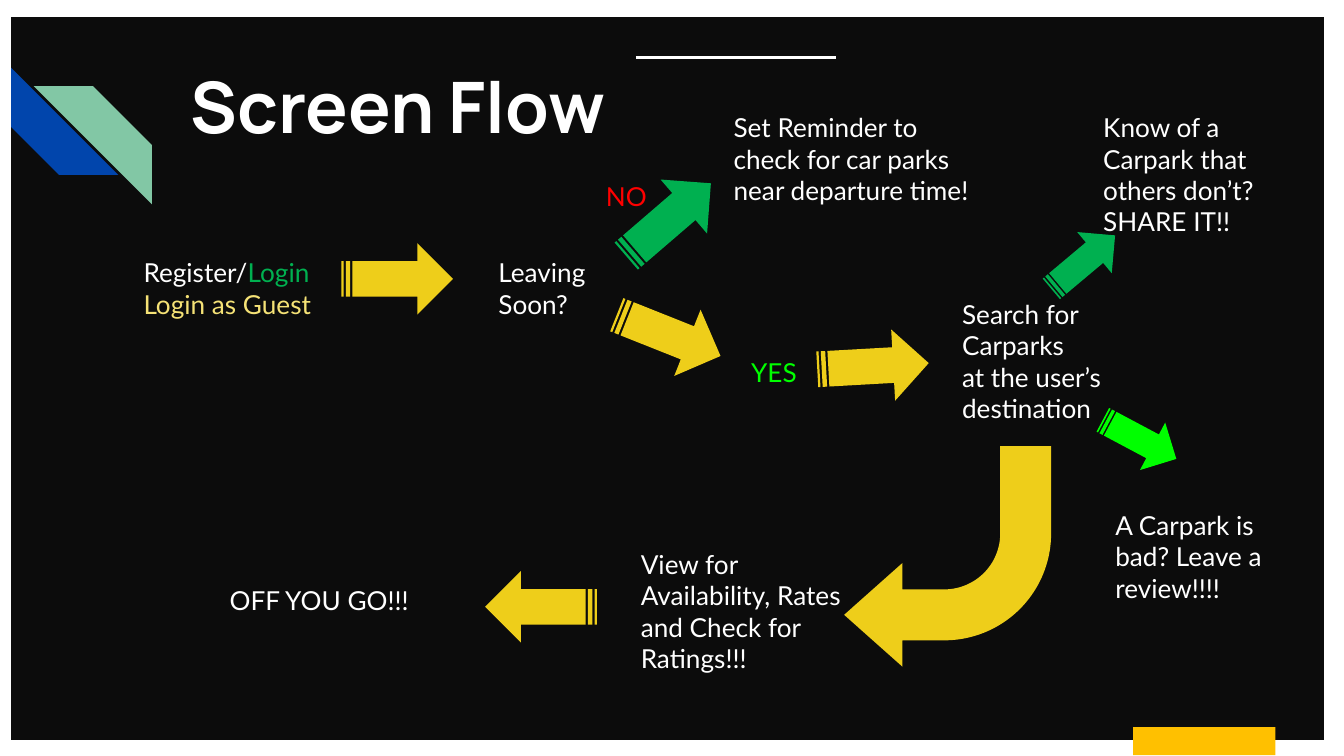
from pptx import Presentation
from pptx.dml.color import RGBColor
from pptx.enum.shapes import MSO_CONNECTOR, MSO_SHAPE
from pptx.enum.text import MSO_ANCHOR, MSO_AUTO_SIZE, PP_ALIGN
from pptx.oxml.ns import qn
from pptx.util import Pt

RECT = MSO_SHAPE.RECTANGLE
STRIPE = MSO_SHAPE.DIAGONAL_STRIPE
ARROW = MSO_SHAPE.STRIPED_RIGHT_ARROW
BENT = MSO_SHAPE.BENT_ARROW
LINE = MSO_CONNECTOR.STRAIGHT
LEFT, MIDDLE, NO_FIT = PP_ALIGN.LEFT, MSO_ANCHOR.MIDDLE, MSO_AUTO_SIZE.NONE

BLACK = RGBColor(0x0C, 0x0C, 0x0C)
WHITE = RGBColor(0xFF, 0xFF, 0xFF)
BLUE = RGBColor(0x01, 0x45, 0xAC)
MINT = RGBColor(0x82, 0xC7, 0xA5)
AMBER = RGBColor(0xFF, 0xC0, 0x00)
GOLD = RGBColor(0xEE, 0xCE, 0x1A)
CREAM = RGBColor(0xF5, 0xE2, 0x76)
GREEN = RGBColor(0x00, 0xB0, 0x50)
LIME = RGBColor(0x00, 0xFF, 0x00)
RED = RGBColor(0xFF, 0x00, 0x00)

BIG, SMALL = (59.8, 38.2), (44.6, 28.8)

# Steps: left, top, width, height, paragraphs of (text, colour) runs
STEPS = [
    (0, 77.7, 138.2, 33.8, [[("Register/", WHITE), ("Login", GREEN)],
                            [("Login as Guest", CREAM)]]),
    (190.1, 77.7, 70.6, 33.8, [[("Leaving", WHITE)], [("Soon?", WHITE)]]),
    (316.1, 0, 150.5, 64.8,
     [[("Set Reminder to check for car parks near departure time!", WHITE)]]),
    (247.7, 36.7, 70.6, 33.8, [[("NO", RED)]]),
    (325.5, 131, 70.6, 33.8, [[("YES", LIME)]]),
    (438.5, 100, 92.9, 77, [[(line, WHITE)] for line in (
        "Search for", "Carparks", "at the user’s", "destination")]),
    (514.1, 0, 114.5, 77, [[("Know of a Carpark that others don’t?", WHITE)],
                           [("SHARE IT!!", WHITE)]]),
    (520.6, 213.1, 114.5, 77,
     [[("A Carpark is bad? Leave a review!!!!", WHITE)]]),
    (266.4, 234, 138.2, 77,
     [[("View for Availability, Rates and Check for Ratings!!!", WHITE)]]),
    (46.1, 253.4, 138.2, 33.8, [[("OFF YOU GO!!!", WHITE)]]),
]

# Arrows: left, top, size, turn in degrees, colour
ARROWS = [
    (113.1, 77.7, BIG, 0, GOLD),
    (258.5, 46, BIG, 319.3, GREEN),
    (258.5, 108, BIG, 21.7, GOLD),
    (368, 124.5, BIG, 356.8, GOLD),
    (488.2, 73.4, SMALL, 320, GREEN),
    (518.4, 168.4, SMALL, 28, LIME),
    (190.1, 253.4, BIG, 180, GOLD),
]


def add_form(slide, kind, box, fill=None, turn=0, adjust=()):
    form = slide.shapes.add_shape(kind, *map(Pt, box))
    form.shadow.inherit = False
    form.line.fill.background()
    if fill is None:
        form.fill.background()
    else:
        form.fill.solid()
        form.fill.fore_color.rgb = fill
    form.rotation = turn
    for i, value in enumerate(adjust):
        form.adjustments[i] = value
    return form


def add_text(slide, box, paras):
    frame = slide.shapes.add_textbox(*map(Pt, box)).text_frame
    frame.word_wrap = True
    frame.margin_left = frame.margin_right = Pt(7.2)
    frame.margin_top = frame.margin_bottom = Pt(7.2)
    for i, runs in enumerate(paras):
        para = frame.add_paragraph() if i else frame.paragraphs[0]
        para.font.name, para.font.size = "Lato", Pt(14)
        for text, color in runs:
            run = para.add_run()
            run.text = text
            run.font.color.rgb = color


def draw_decor(slide, x, y, width, height):
    # Corner stripes
    side = 63.4
    add_form(slide, STRIPE, (x, y + 27.4, side, side), BLUE, 270, [0.5])
    add_form(slide, STRIPE, (x + 18, y + 43.2, side, side), MINT, 90, [0.5])
    # White frame
    frame = add_form(slide, RECT, (x, y, width, height))
    frame.line.color.rgb = WHITE
    frame.line.width = Pt(12.25)
    # Bottom tab
    add_form(slide, RECT, (x + 607, y + 386.6, 76.3, 15.1), AMBER)


def draw_title(slide, x, y, width, height):
    title = slide.shapes.title
    title.left, title.top = Pt(x), Pt(y)
    title.width, title.height = Pt(width), Pt(height)
    frame = title.text_frame
    frame.text = "Screen Flow"
    frame.auto_size, frame.vertical_anchor = NO_FIT, MIDDLE
    frame.margin_left = frame.margin_right = Pt(5)
    frame.margin_top = frame.margin_bottom = Pt(2.9)
    para = frame.paragraphs[0]
    para.alignment = LEFT
    font = para.font
    font.name, font.size, font.bold = "Manrope", Pt(38), True
    font.color.rgb = WHITE
    # Rule above the title
    rule = slide.shapes.add_connector(
        LINE, Pt(x + 243.4), Pt(y), Pt(x + 350.6), Pt(y))
    rule.line.color.rgb = WHITE
    rule.line.width = Pt(1.5)
    props = rule._element.spPr
    props.append(props.makeelement(qn("a:effectLst"), {}))


def draw_flow(slide, x, y):
    for left, top, size, turn, color in ARROWS:
        add_form(slide, ARROW, (x + left, y + top, *size), color, turn,
                 [0.5, 0.5])
    # Turn from search to view
    add_form(slide, BENT, (x + 382.4, y + 186.4, 110.9, 118.1), GOLD, 180,
             [0.246, 0.25, 0.281, 0.516])
    for left, top, width, height, paras in STEPS:
        add_text(slide, (x + left, y + top, width, height), paras)


def main():
    deck = Presentation()
    deck.slide_width, deck.slide_height = Pt(720), Pt(405)
    slide = deck.slides.add_slide(deck.slide_layouts[5])
    slide.background.fill.solid()
    slide.background.fill.fore_color.rgb = BLACK
    draw_decor(slide, 0, 2.9, 715.7, 399.6)
    draw_title(slide, 97.2, 31, 531.4, 51.1)
    draw_flow(slide, 69.8, 52.6)
    deck.save("out.pptx")


if __name__ == "__main__":
    main()
